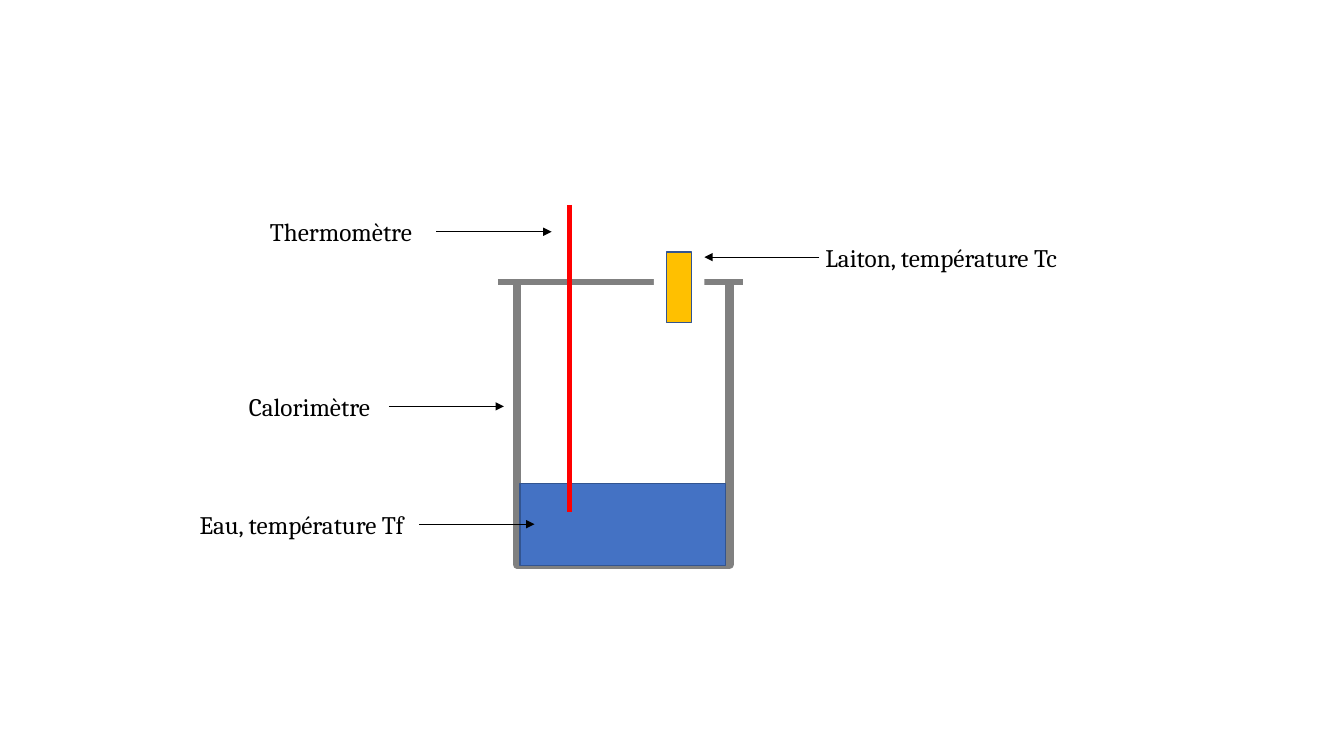
from dataclasses import dataclass
from typing import Optional

from lxml.etree import SubElement
from pptx import Presentation
from pptx.dml.color import RGBColor
from pptx.enum.shapes import MSO_CONNECTOR, MSO_SHAPE
from pptx.enum.text import MSO_AUTO_SIZE
from pptx.oxml.ns import qn
from pptx.util import Cm, Pt

COLORS = {
    "white": "FFFFFF",
    "black": "000000",
    "grey": "808080",
    "water": "4472C4",
    "edge": "325490",
    "brass": "FFC000",
    "red": "FF0000",
}
ARROW = 2.9
HEIGHT = 1.02


@dataclass
class Block:
    left: float
    top: float
    width: float
    height: float
    fill: str
    edge: Optional[str] = None
    weight: float = 1


@dataclass
class Stroke:
    x1: float
    y1: float
    x2: float
    y2: float
    color: str
    weight: float
    arrow: bool = False


@dataclass
class Label:
    text: str
    left: float
    width: float
    start: float
    level: float
    side: int = 1


VESSEL = [
    Block(13.03, 6.25, 5.36, 7.98, "white", "grey", 6),
    Block(12.55, 5.84, 6.48, 1.27, "white"),
    Block(13.11, 12.19, 5.18, 2.06, "water", "edge"),
]
STROKES = [
    Stroke(12.55, 7.11, 18.72, 7.11, "grey", 4.5),
    Stroke(14.35, 5.16, 14.35, 12.9, "red", 3),
]
BRASS = [
    Block(16.48, 6.81, 1.27, 0.71, "white"),
    Block(16.79, 6.35, 0.64, 1.78, "brass", "edge"),
]
LABELS = [
    Label("Thermomètre", 6.55, 5.11, 11, 5.84),
    Label("Calorimètre", 6.02, 5.11, 9.8, 10.24),
    Label("Eau, température Tf", 4.78, 6.48, 10.57, 13.21),
    Label("Laiton, température Tc", 20.55, 8.71, 20.65, 6.48, -1),
]


def paint(name: str) -> RGBColor:
    return RGBColor.from_string(COLORS[name])


def add_block(slide, block: Block) -> None:
    shape = slide.shapes.add_shape(
        MSO_SHAPE.RECTANGLE,
        Cm(block.left), Cm(block.top), Cm(block.width), Cm(block.height),
    )
    shape.shadow.inherit = False
    shape.fill.solid()
    shape.fill.fore_color.rgb = paint(block.fill)
    if block.edge:
        shape.line.color.rgb = paint(block.edge)
        shape.line.width = Pt(block.weight)
    else:
        shape.line.fill.background()


def add_stroke(slide, stroke: Stroke) -> None:
    line = slide.shapes.add_connector(
        MSO_CONNECTOR.STRAIGHT,
        Cm(stroke.x1), Cm(stroke.y1), Cm(stroke.x2), Cm(stroke.y2),
    )
    line.line.color.rgb = paint(stroke.color)
    line.line.width = Pt(stroke.weight)
    if stroke.arrow:
        SubElement(line.line._get_or_add_ln(), qn("a:tailEnd"), type="triangle")
    SubElement(line._element.spPr, qn("a:effectLst"))


def add_text(slide, text: str, *, left: float, top: float, width: float,
             size: float = 18, font: str = "Cambria", color: str = "black") -> None:
    box = slide.shapes.add_textbox(Cm(left), Cm(top), Cm(width), Cm(HEIGHT))
    frame = box.text_frame
    frame.word_wrap = True
    frame.auto_size = MSO_AUTO_SIZE.SHAPE_TO_FIT_TEXT
    run = frame.paragraphs[0].add_run()
    run.text = text
    run.font.name = font
    run.font.size = Pt(size)
    run.font.color.rgb = paint(color)


def add_label(slide, label: Label) -> None:
    add_text(slide, label.text, left=label.left,
             top=label.level - HEIGHT / 2, width=label.width)
    tip = label.start + label.side * ARROW
    add_stroke(slide, Stroke(label.start, label.level, tip, label.level,
                             "black", 0.5, True))


def main() -> None:
    deck = Presentation()
    deck.slide_width, deck.slide_height = Cm(33.87), Cm(19.05)
    slide = deck.slides.add_slide(deck.slide_layouts[6])
    for block in VESSEL:
        add_block(slide, block)
    for stroke in STROKES:
        add_stroke(slide, stroke)
    for block in BRASS:
        add_block(slide, block)
    for label in LABELS:
        add_label(slide, label)
    deck.save("out.pptx")


if __name__ == "__main__":
    main()
